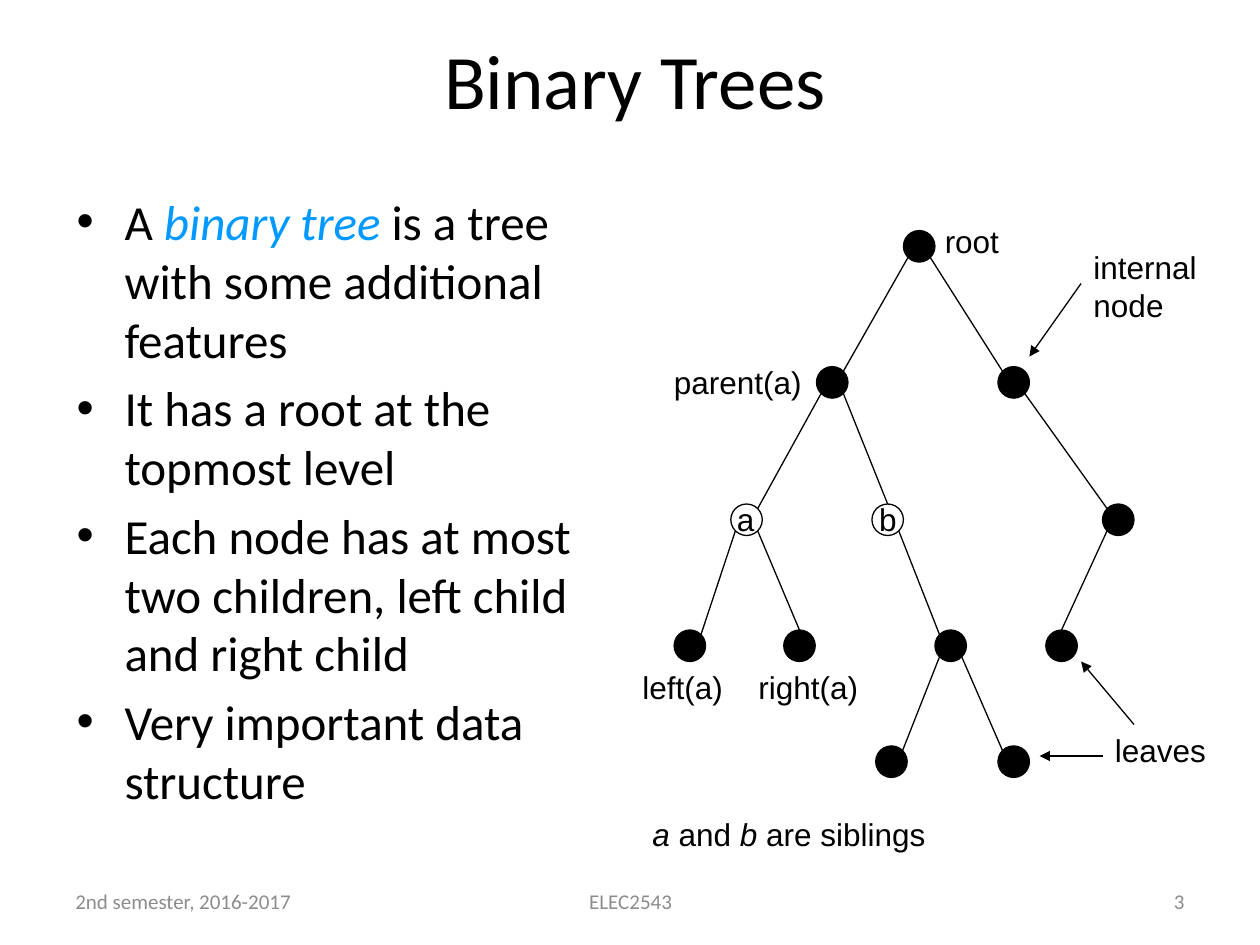
from dataclasses import dataclass
from math import sqrt

from lxml.etree import SubElement
from pptx import Presentation
from pptx.dml.color import RGBColor
from pptx.enum.shapes import MSO_CONNECTOR, MSO_SHAPE
from pptx.enum.text import MSO_ANCHOR, PP_ALIGN
from pptx.oxml.ns import qn
from pptx.util import Inches, Pt


@dataclass(frozen=True)
class Theme:
    ink: RGBColor = RGBColor(0, 0, 0)
    paper: RGBColor = RGBColor(255, 255, 255)
    accent: RGBColor = RGBColor(0x00, 0x99, 0xFF)
    muted: RGBColor = RGBColor(0x8C, 0x8C, 0x8C)
    text_font: str = "Calibri"
    label_font: str = "Arial"
    title_size: int = 44
    body_size: int = 28
    label_size: int = 18
    footer_size: int = 12
    line_width: float = 0.75


THEME = Theme()
NODE_SIZE = 0.25
CORNER = NODE_SIZE / 2 / sqrt(2)

NODES = {
    "root": (7.17, 1.83),
    "parent": (6.48, 2.91),
    "internal": (7.92, 2.91),
    "a": (5.8, 4),
    "b": (6.92, 4),
    "outer": (8.75, 4),
    "left": (5.35, 5),
    "right": (6.22, 5),
    "inner": (7.42, 5),
    "outer leaf": (8.3, 5),
    "low left": (6.95, 5.92),
    "low right": (7.92, 5.92),
}
HOLLOW = {"a", "b"}
EDGES = [
    ("root", "parent"), ("root", "internal"),
    ("parent", "a"), ("parent", "b"), ("internal", "outer"),
    ("a", "left"), ("a", "right"), ("b", "inner"), ("outer", "outer leaf"),
    ("inner", "low left"), ("inner", "low right"),
]
ENTERED_AT_TOP = {"b", "right", "outer leaf"}
POINTERS = [
    ((9, 5.75), (8.58, 5.25)),
    ((8.75, 6), (8.25, 6)),
    ((8.58, 2.25), (8.17, 2.83)),
]
LABELS = [
    ("root", (7.4, 1.71, 0.63, 0.4)),
    ("parent(a)", (5.25, 2.83, 1.22, 0.4)),
    ("a", (5.75, 3.92, 0.34, 0.4)),
    ("b", (6.88, 3.92, 0.34, 0.4)),
    ("left(a)", (5, 5.25, 0.84, 0.4)),
    ("right(a)", (5.92, 5.25, 0.99, 0.4)),
    ("leaves", (8.75, 5.75, 0.92, 0.4)),
    ("internal\nnode", (8.58, 1.92, 1.02, 0.7)),
]
SIBLINGS = [("a", True), (" and ", False), ("b", True), (" are siblings", False)]
POINTS = [
    [("A ", False), ("binary tree", True), (" is a tree with some additional features", False)],
    [("It has a root at the topmost level", False)],
    [("Each node has at most two children, left child and right child", False)],
    [("Very important data structure", False)],
]
FOOTERS = [
    ("2nd semester, 2016-2017", (0.5, 6.95, 2.33, 0.4), PP_ALIGN.LEFT),
    ("ELEC2543", (3.42, 6.95, 3.17, 0.4), PP_ALIGN.CENTER),
    ("3", (7.17, 6.95, 2.33, 0.4), PP_ALIGN.RIGHT),
]


def style(run, font, size, color, italic=False):
    run.font.name = font
    run.font.size = Pt(size)
    run.font.color.rgb = color
    run.font.italic = italic


def add_title(slide, text):
    title = slide.shapes.title
    title.left, title.top, title.width, title.height = map(Inches, (0.54, 0, 9, 1.25))
    title.text_frame.text = text
    title.text_frame.vertical_anchor = MSO_ANCHOR.MIDDLE
    heading = title.text_frame.paragraphs[0]
    heading.alignment = PP_ALIGN.CENTER
    style(heading.runs[0], THEME.text_font, THEME.title_size, THEME.ink)


def add_frame(slide, box, wrap):
    frame = slide.shapes.add_textbox(*map(Inches, box)).text_frame
    frame.word_wrap = wrap
    return frame


def add_runs(paragraph, pieces, font, size, emphasis):
    for text, emphasized in pieces:
        run = paragraph.add_run()
        run.text = text
        style(run, font, size, emphasis if emphasized else THEME.ink, emphasized)


def add_bullet(paragraph):
    properties = paragraph._p.get_or_add_pPr()
    properties.set("marL", str(Inches(0.38)))
    properties.set("indent", str(Inches(-0.38)))
    SubElement(properties, qn("a:buFont"), typeface="Arial")
    SubElement(properties, qn("a:buChar"), char="•")


def add_points(slide, box, points):
    frame = add_frame(slide, box, True)
    for index, pieces in enumerate(points):
        paragraph = frame.add_paragraph() if index else frame.paragraphs[0]
        paragraph.space_before = Pt(THEME.body_size * 0.2)
        add_bullet(paragraph)
        add_runs(paragraph, pieces, THEME.text_font, THEME.body_size, THEME.accent)


def add_label(slide, text, box):
    frame = add_frame(slide, box, False)
    frame.text = text
    for paragraph in frame.paragraphs:
        style(paragraph.runs[0], THEME.label_font, THEME.label_size, THEME.ink)


def add_footer(slide, text, box, alignment):
    frame = add_frame(slide, box, True)
    frame.text = text
    frame.vertical_anchor = MSO_ANCHOR.MIDDLE
    frame.paragraphs[0].alignment = alignment
    style(frame.paragraphs[0].runs[0], THEME.text_font, THEME.footer_size, THEME.muted)


def add_node(slide, position, fill):
    node = slide.shapes.add_shape(
        MSO_SHAPE.OVAL, *map(Inches, (*position, NODE_SIZE, NODE_SIZE)))
    node.shadow.inherit = False
    node.fill.solid()
    node.fill.fore_color.rgb = fill
    node.line.color.rgb = THEME.ink
    node.line.width = Pt(THEME.line_width)


def add_line(slide, start, end, arrow=False):
    line = slide.shapes.add_connector(MSO_CONNECTOR.STRAIGHT, *map(Inches, (*start, *end)))
    line.line.color.rgb = THEME.ink
    line.line.width = Pt(THEME.line_width)
    if arrow:
        SubElement(line.line._get_or_add_ln(), qn("a:tailEnd"), type="triangle")
    SubElement(line._element.spPr, qn("a:effectLst"))


def add_edge(slide, parent, child):
    (parent_x, parent_y), (child_x, child_y) = (
        [value + NODE_SIZE / 2 for value in NODES[name]] for name in (parent, child))
    side = CORNER if child_x > parent_x else -CORNER
    start = (parent_x + side, parent_y + CORNER)
    if child in ENTERED_AT_TOP:
        end = (child_x, child_y - NODE_SIZE / 2)
    else:
        end = (child_x - side, child_y - CORNER)
    add_line(slide, start, end)


def add_tree(slide):
    for name, position in NODES.items():
        add_node(slide, position, THEME.paper if name in HOLLOW else THEME.ink)
    for parent, child in EDGES:
        add_edge(slide, parent, child)
    for start, end in POINTERS:
        add_line(slide, start, end, arrow=True)
    for text, box in LABELS:
        add_label(slide, text, box)
    caption = add_frame(slide, (5.08, 6.42, 2.37, 0.4), False)
    add_runs(caption.paragraphs[0], SIBLINGS, THEME.label_font, THEME.label_size, THEME.ink)


def main():
    deck = Presentation()
    deck.slide_width, deck.slide_height = Inches(10), Inches(7.5)
    slide = deck.slides.add_slide(deck.slide_layouts[5])
    add_title(slide, "Binary Trees")
    add_points(slide, (0.51, 1.47, 4.42, 5.08), POINTS)
    add_tree(slide)
    for text, box, alignment in FOOTERS:
        add_footer(slide, text, box, alignment)
    deck.save("out.pptx")


main()
